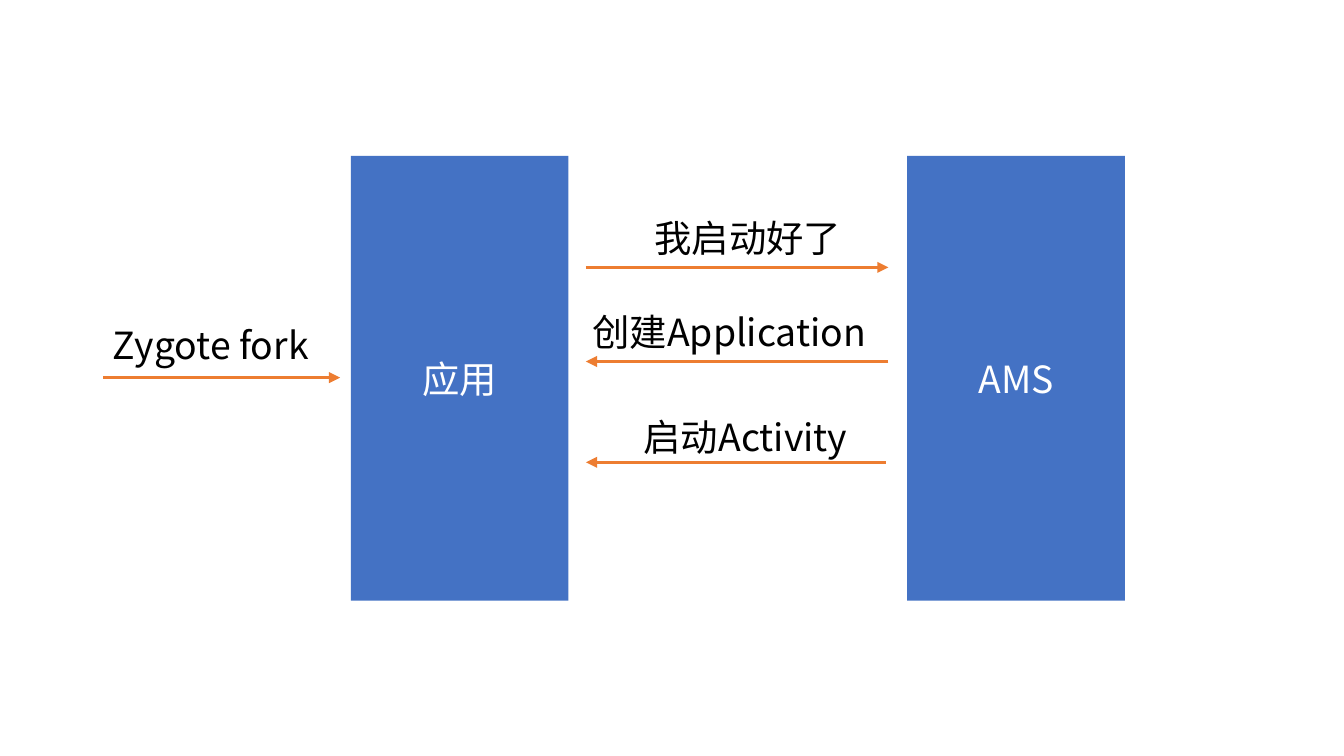
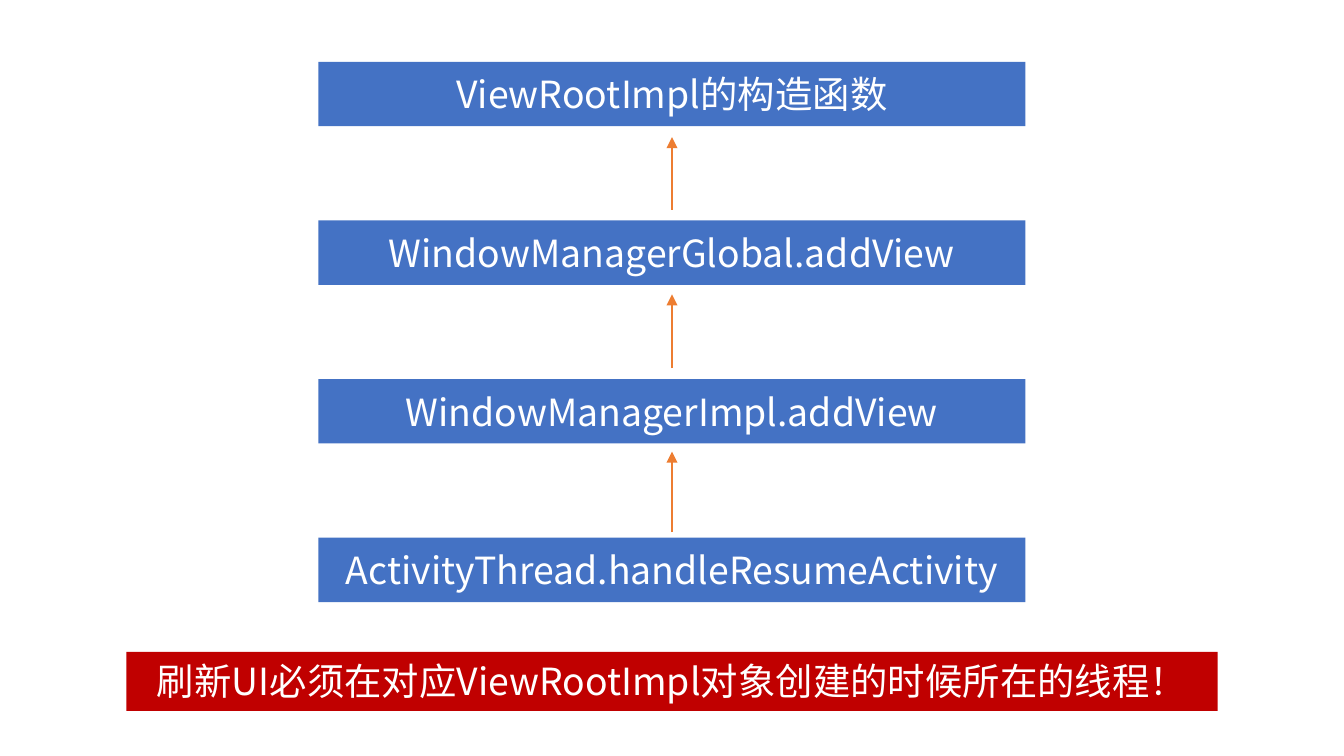
from lxml import etree
from pptx import Presentation
from pptx.dml.color import RGBColor
from pptx.enum.shapes import MSO_CONNECTOR as Connector, MSO_SHAPE as Shape
from pptx.enum.text import MSO_ANCHOR as Anchor, MSO_AUTO_SIZE as AutoSize, PP_ALIGN as Align
from pptx.oxml.ns import qn
from pptx.util import Inches, Pt

COLORS = {"box": "4472C4", "arrow": "ED7D31", "warning": "C00000", "light": "FFFFFF", "dark": "000000"}
FONT = "Noto Sans CJK SC"
SLIDE_WIDTH = 10


def write_text(frame, text, color="dark", size=20, align=Align.LEFT, anchor=Anchor.TOP,
               wrap=True, grow=False):
    frame.word_wrap = wrap
    frame.auto_size = AutoSize.SHAPE_TO_FIT_TEXT if grow else AutoSize.NONE
    frame.vertical_anchor = anchor
    paragraph = frame.paragraphs[0]
    paragraph.alignment = align
    run = paragraph.add_run()
    run.text = text
    run.font.size = Pt(size)
    run.font.name = FONT
    run.font.color.rgb = RGBColor.from_string(COLORS[color])
    etree.SubElement(run.font._element, qn("a:ea"), typeface=FONT)


class Diagram:
    """Draws the boxes, labels and arrows of the flow slides."""

    def __init__(self, presentation):
        self.presentation = presentation
        self.slide = None

    def new_slide(self):
        self.slide = self.presentation.slides.add_slide(self.presentation.slide_layouts[6])

    def box(self, text, left, top, width, height, fill="box", anchor=Anchor.MIDDLE, grow=False):
        shape = self.slide.shapes.add_shape(
            Shape.RECTANGLE, Inches(left), Inches(top), Inches(width), Inches(height))
        shape.shadow.inherit = False
        shape.fill.solid()
        shape.fill.fore_color.rgb = RGBColor.from_string(COLORS[fill])
        shape.line.fill.background()
        write_text(shape.text_frame, text, color="light", align=Align.CENTER, anchor=anchor, grow=grow)

    def label(self, text, left, top, width, height=0.44):
        shape = self.slide.shapes.add_textbox(
            Inches(left), Inches(top), Inches(width), Inches(height))
        write_text(shape.text_frame, text, wrap=False, grow=True)

    def arrow(self, start_x, start_y, end_x, end_y):
        connector = self.slide.shapes.add_connector(
            Connector.STRAIGHT, Inches(start_x), Inches(start_y), Inches(end_x), Inches(end_y))
        connector.line.color.rgb = RGBColor.from_string(COLORS["arrow"])
        connector.line.width = Pt(1.5)
        line = connector._element.spPr.find(qn("a:ln"))
        etree.SubElement(line, qn("a:tailEnd"), type="triangle")
        etree.SubElement(connector._element.spPr, qn("a:effectLst"))


def build_startup(diagram):
    diagram.new_slide()
    for text, left in (("应用", 2.61), ("AMS", 6.75)):
        diagram.box(text, left, 1.16, 1.62, 3.31)
    messages = (
        ("Zygote fork", 0.74, 2.35, 1.75, 0.77, 2.53, 2.81),
        ("我启动好了", 4.77, 1.55, 1.6, 4.36, 6.61, 1.99),
        ("创建Application", 4.31, 2.25, 2.3, 6.61, 4.36, 2.69),
        ("启动Activity", 4.69, 3.03, 1.76, 6.59, 4.36, 3.44),
    )
    for text, left, top, width, start, end, level in messages:
        diagram.arrow(start, level, end, level)
        diagram.label(text, left, top, width)


def build_call_chain(diagram):
    diagram.new_slide()
    calls = ("ViewRootImpl的构造函数", "WindowManagerGlobal.addView",
             "WindowManagerImpl.addView", "ActivityThread.handleResumeActivity")
    for index, call in enumerate(calls):
        diagram.box(call, 2.37, 0.46 + 1.18 * index, 5.26, 0.48)
    for start, end in ((1.56, 1.02), (2.74, 2.19), (3.96, 3.36)):
        diagram.arrow(SLIDE_WIDTH / 2, start, SLIDE_WIDTH / 2, end)
    diagram.box("刷新UI必须在对应ViewRootImpl对象创建的时候所在的线程！", 0.94, 4.85, 8.12, 0.44,
                fill="warning", anchor=Anchor.TOP, grow=True)


def main():
    presentation = Presentation()
    presentation.slide_width = Inches(SLIDE_WIDTH)
    presentation.slide_height = Inches(SLIDE_WIDTH * 9 / 16)
    diagram = Diagram(presentation)
    build_startup(diagram)
    build_call_chain(diagram)
    presentation.save("out.pptx")


if __name__ == "__main__":
    main()
